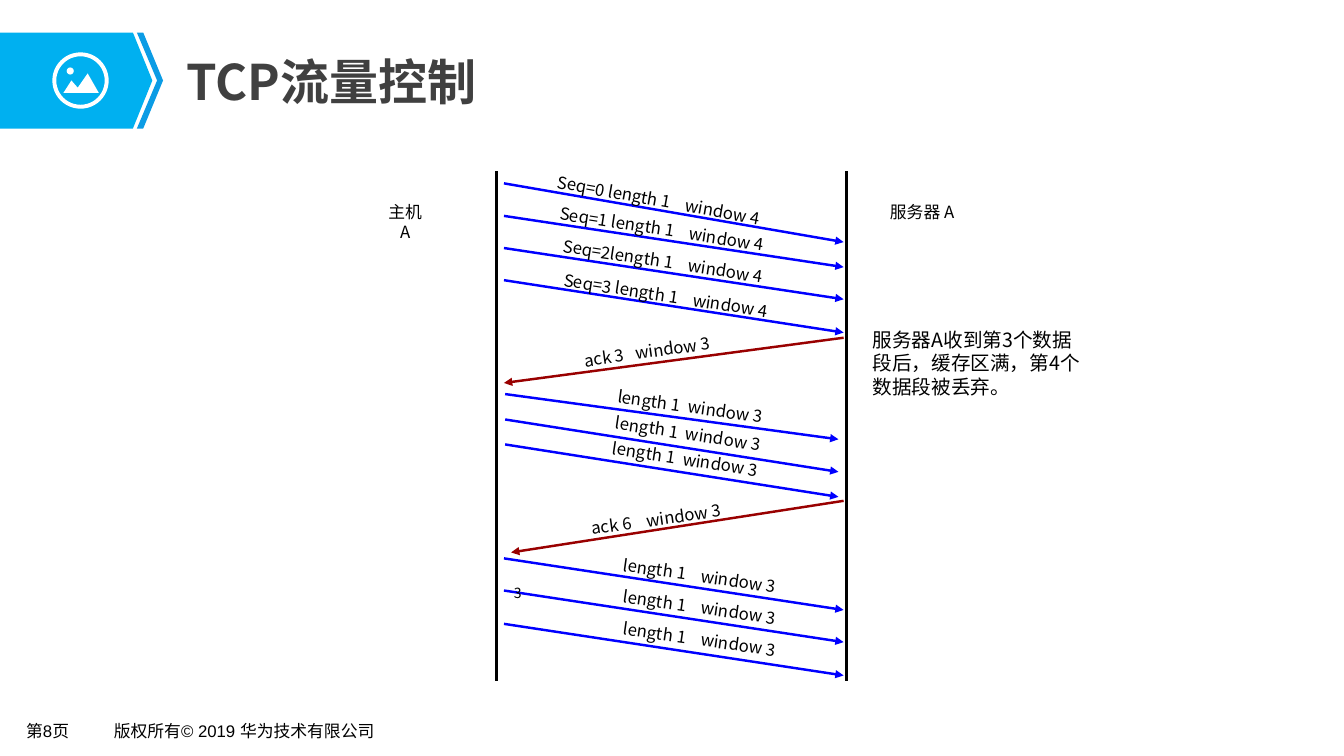
from lxml import etree
from pptx import Presentation
from pptx.dml.color import RGBColor
from pptx.enum.shapes import MSO_CONNECTOR, MSO_SHAPE
from pptx.enum.text import MSO_ANCHOR, PP_ALIGN
from pptx.oxml.ns import qn
from pptx.util import Cm, Pt

STRAIGHT = MSO_CONNECTOR.STRAIGHT
DONUT, OVAL = MSO_SHAPE.DONUT, MSO_SHAPE.OVAL
TOP, MIDDLE = MSO_ANCHOR.TOP, MSO_ANCHOR.MIDDLE
LEFT, CENTER = PP_ALIGN.LEFT, PP_ALIGN.CENTER

BLACK = RGBColor(0x00, 0x00, 0x00)
WHITE = RGBColor(0xFF, 0xFF, 0xFF)
GRAY = RGBColor(0x40, 0x40, 0x40)
SKY = RGBColor(0x00, 0xB0, 0xF0)
AZURE = RGBColor(0x0B, 0x9C, 0xE5)
BLUE = RGBColor(0x00, 0x00, 0xFF)
RED = RGBColor(0x99, 0x00, 0x00)

SANS, LATIN = "Noto Sans CJK SC", "Arial"
HOST_X, SERVER_X = 12.7, 21.26

SEGMENTS = [
    (HOST_X, 4.62, SERVER_X, 6.1),
    (HOST_X, 5.44, SERVER_X, 6.73),
    (HOST_X, 6.25, SERVER_X, 7.54),
    (HOST_X, 7.06, SERVER_X, 8.38),
    (12.73, 9.93, 21.13, 11.07),
    (12.73, 10.57, 21.13, 11.89),
    (12.73, 11.2, 21.13, 12.52),
    (HOST_X, 14.07, SERVER_X, 15.37),
    (HOST_X, 14.88, SERVER_X, 16.18),
    (HOST_X, 15.72, SERVER_X, 17.02),
]
ACKS = [
    (SERVER_X, 8.51, HOST_X, 9.65),
    (SERVER_X, 12.62, 12.88, 13.92),
]
LABELS = [
    ("Seq=0 length 1", "window 4", 8, 16.6, 5.04, 7.14, 10.3),
    ("Seq=1 length 1", "window 4", 8, 16.68, 5.77, 7.24, 8.8),
    ("Seq=2length 1", "window 4", 8, 16.71, 6.58, 6.65, 8.8),
    ("Seq=3 length 1", "window 4", 8, 16.78, 7.44, 6.88, 8.8),
    ("ack 3", "window 3", 5.4, 16.31, 8.86, 6.4, -8),
    ("length 1", "window 3", 2.7, 17.4, 10.24, 6.71, 8),
    ("length 1", "window 3", 2.7, 17.34, 10.92, 6.58, 8.7),
    ("length 1", "window 3", 2.7, 17.27, 11.56, 6.71, 8.7),
    ("ack 6", "window 3", 8, 16.54, 13.08, 6.5, -8),
    ("length 1", "window 3", 8, 17.63, 14.5, 6.65, 8.2),
    ("length 1", "window 3", 8, 17.63, 15.29, 6.65, 8.2),
    ("length 1", "window 3", 8, 17.63, 16.1, 6.65, 8.2),
]


class Deck:
    def __init__(self):
        self.prs = Presentation()
        self.prs.slide_width, self.prs.slide_height = Cm(33.87), Cm(19.05)
        self.slide = self.prs.slides.add_slide(self.prs.slide_layouts[6])
        self.shapes = self.slide.shapes

    def paint(self, sp, color):
        sp.shadow.inherit = False
        sp.fill.solid()
        sp.fill.fore_color.rgb = color
        sp.line.fill.background()

    def polygon(self, points, color):
        pts = [(Cm(x), Cm(y)) for x, y in points]
        builder = self.shapes.build_freeform(*pts[0])
        builder.add_line_segments(pts[1:], close=True)
        self.paint(builder.convert_to_shape(), color)

    def shape(self, kind, x, y, size, color):
        sp = self.shapes.add_shape(kind, Cm(x), Cm(y), Cm(size), Cm(size))
        self.paint(sp, color)
        return sp

    def line(self, x1, y1, x2, y2, color, width=1.75, arrow=True):
        cn = self.shapes.add_connector(STRAIGHT, Cm(x1), Cm(y1), Cm(x2), Cm(y2))
        cn.line.color.rgb = color
        cn.line.width = Pt(width)
        if arrow:
            ln = cn.line._get_or_add_ln()
            etree.SubElement(ln, qn("a:tailEnd"), type="triangle")
        etree.SubElement(cn._element.spPr, qn("a:effectLst"))

    def run(self, p, text, size, color, font, bold, spacing=0):
        r = p.add_run()
        r.text = text
        r.font.size = Pt(size)
        r.font.bold = bold
        r.font.color.rgb = color
        r.font.name = font
        rpr = r._r.get_or_add_rPr()
        etree.SubElement(rpr, qn("a:ea"), typeface=SANS)
        if spacing:
            rpr.set("spc", str(round(spacing * 100)))

    def text(self, x, y, w, h, runs, size=12, color=BLACK, font=SANS, bold=False,
             align=LEFT, anchor=TOP, inset=(0.25, 0.13), wrap=True, rotation=0):
        sp = self.shapes.add_textbox(Cm(x), Cm(y), Cm(w), Cm(h))
        sp.rotation = rotation
        tf = sp.text_frame
        tf.word_wrap = wrap
        tf.vertical_anchor = anchor
        tf.margin_left = tf.margin_right = Cm(inset[0])
        tf.margin_top = tf.margin_bottom = Cm(inset[1])
        p = tf.paragraphs[0]
        p.alignment = align
        p.line_spacing = Pt(round(size * 1.2, 1))
        for text, spacing in runs:
            self.run(p, text, size, color, font, bold, spacing)

    def label(self, first, second, gap, cx, cy, w, rotation):
        h = 0.51
        self.text(cx - w / 2, cy - h / 2, w, h,
                  [(first, 0), (" ", gap), (second, 0)], align=CENTER,
                  anchor=MIDDLE, inset=(0.25, 0), rotation=rotation)


def main():
    deck = Deck()

    for x, w, text in [(0.43, 1.88, "第8页"),
                       (2.64, 7.24, "版权所有© 2019 华为技术有限公司")]:
        deck.text(x, 18.06, w, 0.74, [(text, 0)], font=LATIN,
                  inset=(0.23, 0.1), wrap=False)

    top, mid, bottom = 0.82, 2.03, 3.24
    deck.polygon([(0, top), (3.35, top), (3.84, mid), (3.35, bottom),
                  (0, bottom)], SKY)
    deck.polygon([(3.45, top), (3.61, top), (4.11, mid), (3.61, bottom),
                  (3.45, bottom), (3.96, mid)], AZURE)
    ring = deck.shape(DONUT, 1.32, 1.32, 1.42, WHITE)
    ring.adjustments[0] = 0.07
    deck.polygon([(1.6, 2.34), (1.8, 2.03), (1.96, 2.21), (2.21, 1.85),
                  (2.49, 2.34)], WHITE)
    deck.shape(OVAL, 1.68, 1.7, 0.18, WHITE)
    deck.text(4.42, 1.14, 27.3, 1.78, [("TCP流量控制", 0)], size=35, color=GRAY,
              bold=True, anchor=MIDDLE, inset=(0.28, 0.15))

    for x in (12.52, 21.34):
        deck.line(x, 4.32, x, 17.15, BLACK, width=2.25, arrow=False)
    for ends in SEGMENTS:
        deck.line(*ends, BLUE)
    for ends in ACKS:
        deck.line(*ends, RED)
    for label in LABELS:
        deck.label(*label)

    deck.text(9.5, 4.95, 1.42, 0.76, [("主机 A", 0)], align=CENTER)
    deck.text(22.12, 4.95, 2.24, 0.76, [("服务器 A", 0)], align=CENTER, wrap=False)
    deck.text(21.74, 8.13, 5.79, 2.06,
              [("服务器A收到第3个数据段后，缓存区满，第4个数据段被丢弃。", 0)], size=14)
    deck.text(12.7, 14.7, 0.8, 0.5, [("3", 0)], size=10, anchor=MIDDLE,
              inset=(0.25, 0))

    deck.prs.save("out.pptx")


if __name__ == "__main__":
    main()
